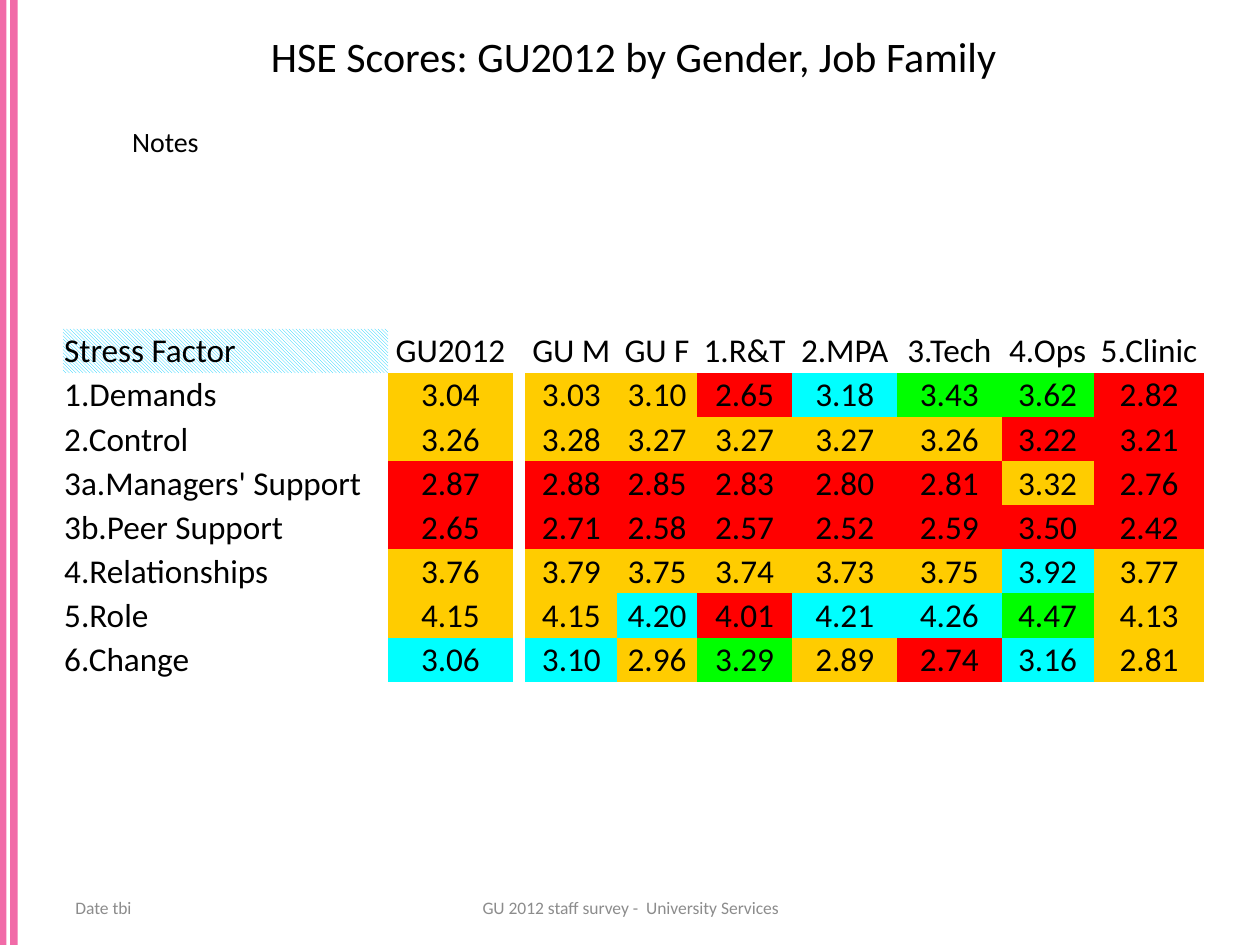
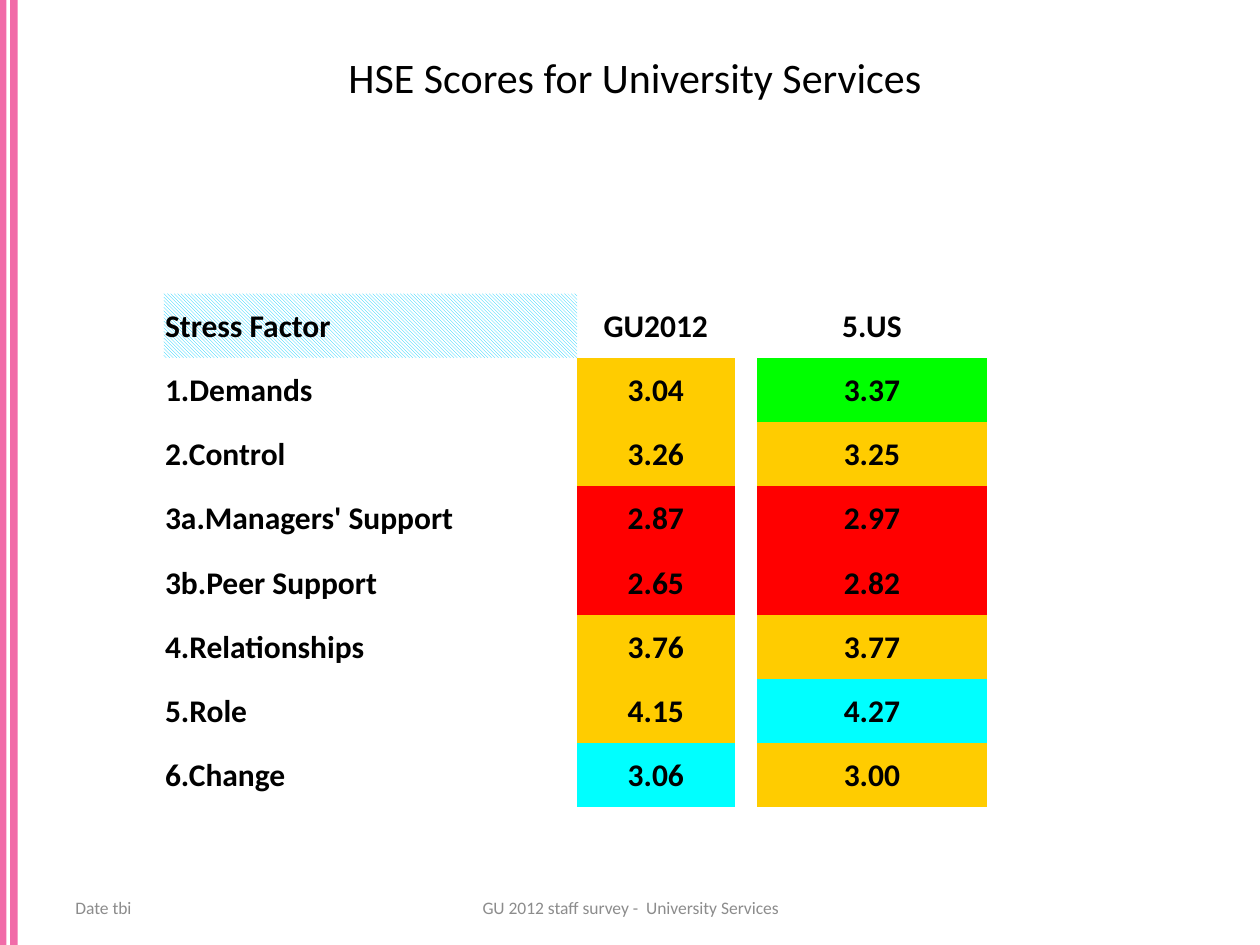
from pptx import Presentation
from pptx import util as u
from pptx.dml.color import RGBColor
from pptx.enum import dml, shapes, text
from pptx.oxml.ns import qn

INK = {"text": "000000", "grey": "8C8C8C", "band": "F16BA8", "paper": "FFFFFF",
       "hatch": "00CCFF", "a": "FFCC00", "r": "FF0000", "c": "00FFFF", "g": "00FF00"}
NO_GRID = "{2D5ABB26-0587-4C30-8999-92F81FD0307C}"
LEFT, MID = text.PP_ALIGN.LEFT, text.PP_ALIGN.CENTER

# Scores by column, with one grade letter a row (a amber, r red, c cyan, g green)
LABELS = ["1.Demands", "2.Control", "3a.Managers' Support", "3b.Peer Support",
          "4.Relationships", "5.Role", "6.Change"]
SCORES = {
    "GU2012": ("3.04 3.26 2.87 2.65 3.76 4.15 3.06", "aarraac"),
    "GU M": ("3.03 3.28 2.88 2.71 3.79 4.15 3.10", "aarraac"),
    "GU F": ("3.10 3.27 2.85 2.58 3.75 4.20 2.96", "aarraca"),
    "1.R&T": ("2.65 3.27 2.83 2.57 3.74 4.01 3.29", "rarrarg"),
    "2.MPA": ("3.18 3.27 2.80 2.52 3.73 4.21 2.89", "carraca"),
    "3.Tech": ("3.43 3.26 2.81 2.59 3.75 4.26 2.74", "garracr"),
    "4.Ops": ("3.62 3.22 3.32 3.50 3.92 4.47 3.16", "grarcgc"),
    "5.Clinic": ("2.82 3.21 2.76 2.42 3.77 4.13 2.81", "rrrraaa"),
    "5.US": ("3.37 3.25 2.97 2.82 3.77 4.27 3.00", "garraca"),
}


def rgb(name):
    return RGBColor.from_string(INK[name])


def write(frame, words, size, color="text", align=LEFT, bold=False):
    par = frame.paragraphs[0]
    par.alignment = align
    run = par.add_run()
    run.text = words
    look = {"name": "Calibri", "size": u.Pt(size), "bold": bold}
    for key, value in look.items():
        setattr(run.font, key, value)
    run.font.color.rgb = rgb(color)


def add_text(slide, words, box, size, anchor=text.MSO_ANCHOR.MIDDLE, **look):
    frame = slide.shapes.add_textbox(*map(u.Inches, box)).text_frame
    frame.word_wrap = True
    frame.vertical_anchor = anchor
    write(frame, words, size, **look)


def add_band(slide, left, width):
    band = slide.shapes.add_shape(shapes.MSO_SHAPE.RECTANGLE, u.Inches(left), 0,
                                  u.Inches(width), u.Inches(7.5))
    band.shadow.inherit = False
    band.fill.solid()
    band.fill.fore_color.rgb = rgb("band")
    band.line.fill.background()


def add_page(prs, title, left, top):
    """Start a slide with its title, side bands and footers."""
    slide = prs.slides.add_slide(prs.slide_layouts[5])
    add_band(slide, 0, 0.05)
    add_band(slide, 0.08, 0.06)
    head = slide.shapes.title
    place = {"left": left, "top": top, "width": 9.06, "height": 0.63}
    for key, value in place.items():
        setattr(head, key, u.Inches(value))
    head.text_frame.vertical_anchor = text.MSO_ANCHOR.MIDDLE
    write(head.text_frame, title, 24, align=MID)
    add_text(slide, "Date tbi", (0.5, 7.06, 2.33, 0.29), 10, color="grey")
    add_text(slide, "GU 2012 staff survey -  University Services",
             (3.42, 7.06, 3.17, 0.29), 10, color="grey", align=MID)
    return slide


def fill_cell(cell, words, grade, size, align, bold):
    edges = {"margin_left": 0.01, "margin_right": 0.01, "margin_top": 0.01, "margin_bottom": 0}
    for key, value in edges.items():
        setattr(cell, key, u.Inches(value))
    cell.vertical_anchor = text.MSO_ANCHOR.MIDDLE
    if grade == "hatch":
        cell.fill.patterned()
        cell.fill.pattern = dml.MSO_PATTERN.LIGHT_DOWNWARD_DIAGONAL
        cell.fill.fore_color.rgb = rgb("hatch")
        cell.fill.back_color.rgb = rgb("paper")
    elif grade:
        cell.fill.solid()
        cell.fill.fore_color.rgb = rgb(grade)
    else:
        cell.fill.background()
    if words:
        write(cell.text_frame, words, size, align=align, bold=bold)


def add_scores(slide, left, top, heads, widths, row, size, bold=False):
    """Draw the score table; a head of None makes an empty gap column."""
    count = len(LABELS) + 1
    box = (left, top, sum(widths), row * count)
    shape = slide.shapes.add_table(count, len(widths), *map(u.Inches, box))
    table = shape.table
    table.first_row = table.horz_banding = False
    for style in shape.element.iter(qn("a:tableStyleId")):
        style.text = NO_GRID
    for line in table.rows:
        line.height = u.Inches(row)
    cols = [(["Stress Factor"] + LABELS, ["hatch"] + [None] * len(LABELS))]
    for head in heads:
        if head:
            marks, grades = SCORES[head]
            cols.append(([head] + marks.split(), [None, *grades]))
        else:
            cols.append(([None] * count, [None] * count))
    for x, (words, grades) in enumerate(cols):
        table.columns[x].width = u.Inches(widths[x])
        for y in range(count):
            fill_cell(table.cell(y, x), words[y], grades[y], size, MID if x else LEFT, bold)


def main():
    prs = Presentation()
    prs.slide_width, prs.slide_height = u.Inches(10), u.Inches(7.5)

    # Scores by gender and job family
    page = add_page(prs, "HSE Scores: GU2012 by Gender, Job Family", 0.5, 0.13)
    add_text(page, "Notes", (0.95, 0.94, 8.15, 0.37), 16, anchor=text.MSO_ANCHOR.TOP)
    heads = ["GU2012", None, "GU M", "GU F", "1.R&T", "2.MPA", "3.Tech", "4.Ops", "5.Clinic"]
    widths = [2.58, 0.99, 0.1, 0.73, 0.63, 0.76, 0.83, 0.83, 0.73, 0.88]
    add_scores(page, 0.5, 2.61, heads, widths, 0.35, 19)

    # Scores for one service
    page = add_page(prs, "HSE Scores for University Services", 0.51, 0.29)
    add_scores(page, 1.3, 2.33, ["GU2012", None, "5.US"], [3.28, 1.25, 0.18, 1.82],
               0.51, 18, bold=True)

    prs.save("out.pptx")


if __name__ == "__main__":
    main()
